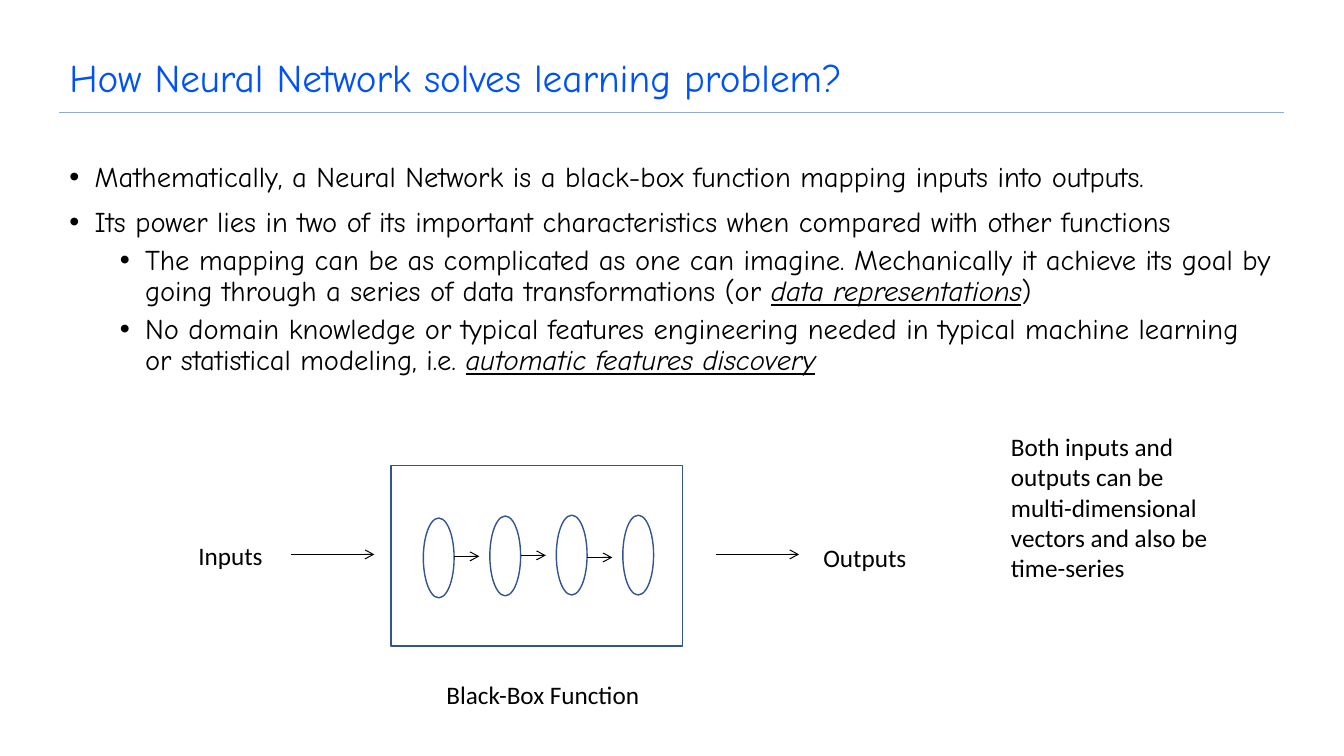
from lxml import etree
from pptx import Presentation
from pptx.dml.color import RGBColor
from pptx.enum.shapes import MSO_CONNECTOR as CONN, MSO_SHAPE as SHAPE
from pptx.enum.text import MSO_ANCHOR as ANCHOR
from pptx.oxml.ns import qn
from pptx.util import Pt

# Content: a paragraph is (level, runs), a run is (text, emphasised)
TITLE = "How Neural Network solves learning problem?"
BULLETS = [
    (0, [("Mathematically, a Neural Network is a black-box function mapping "
          "inputs into outputs.", False)]),
    (0, [("Its power lies in two of its important characteristics when "
          "compared with other functions", False)]),
    (1, [("The mapping can be as complicated as one can imagine. Mechanically "
          "it achieve its goal by going through a series of data "
          "transformations (or ", False),
         ("data representations", True), (")", False)]),
    (1, [("No domain knowledge or typical features engineering needed in "
          "typical machine learning or statistical modeling, i.e. ", False),
         ("automatic features discovery", True)]),
]
LABELS = [  # text, box in points
    ("Inputs", (134.6, 382.3, 116, 29)),
    ("Outputs", (581, 383.8, 142, 29)),
    ("Both inputs and outputs can be multi-dimensional vectors and also be "
     "time-series", (715, 304.6, 157, 117)),
    ("Black-Box Function", (311.8, 481.7, 155, 29)),
]

THEME = {
    "title": {"name": "Comic Neue", "size": Pt(28), "color": "0052F6"},
    "body": {"name": "Comic Neue", "size": Pt(20.4), "color": "000000"},
    "label": {"name": "Calibri", "size": Pt(18), "color": "000000"},
    "rule": "8FAADC", "outline": "325491", "arrow": "000000",
}

# Layout in points
LEFT, WIDTH, RULE_Y = 42.5, 874.8, 80.6
BOX = (279.4, 332.6, 208, 129)
LAYER_X, LAYER_PITCH, LAYER_W, LAYER_H = 302.4, 47.5, 22, 57
LAYER_TOPS = [370, 368.6, 368, 368]
STEP_YS, STEP_LEN = [397.4, 396.7, 398.2], 18
FLOW_XS, FLOW_Y, FLOW_LEN = [208, 511.4], 396, 59.4

prs = Presentation()
prs.slide_width, prs.slide_height = Pt(960), Pt(540)
s = prs.slides.add_slide(prs.slide_layouts[6])


def add_run(p, text, style, **extra):
    r = p.add_run()
    r.text = text
    for name, value in {**THEME[style], **extra}.items():
        if name == "color":
            r.font.color.rgb = RGBColor.from_string(value)
        else:
            setattr(r.font, name, value)


def add_text(box):
    tf = s.shapes.add_textbox(*map(Pt, box)).text_frame
    tf.word_wrap = True
    return tf


def add_bullet(p, level):
    pPr = p._p.get_or_add_pPr()
    pPr.set("marL", str(Pt(18 + 36 * level)))
    pPr.set("indent", str(-Pt(18)))
    etree.SubElement(pPr, qn("a:buFont"), typeface="Arial")
    etree.SubElement(pPr, qn("a:buChar"), char="•")


def add_outline(kind, box):
    sp = s.shapes.add_shape(kind, *map(Pt, box))
    sp.shadow.inherit = False
    sp.fill.background()
    sp.line.color.rgb = RGBColor.from_string(THEME["outline"])
    sp.line.width = Pt(1)


def add_line(x, y, length, color, width, arrow=True):
    c = s.shapes.add_connector(CONN.STRAIGHT, Pt(x), Pt(y), Pt(x + length), Pt(y))
    c.line.color.rgb = RGBColor.from_string(THEME[color])
    c.line.width = Pt(width)
    if arrow:
        etree.SubElement(c.line._get_or_add_ln(), qn("a:tailEnd"), type="arrow")
    etree.SubElement(c._element.spPr, qn("a:effectLst"))


# Title and rule
add_line(LEFT, RULE_Y, WIDTH, "rule", 0.5, arrow=False)
tf = add_text((LEFT, 25.2, 715, 50.4))
tf.vertical_anchor = ANCHOR.BOTTOM
tf.paragraphs[0].line_spacing = 0.9
add_run(tf.paragraphs[0], TITLE, "title")

# Bullets
tf = add_text((LEFT, 113, WIDTH, 179.3))
for i, (level, runs) in enumerate(BULLETS):
    p = tf.add_paragraph() if i else tf.paragraphs[0]
    p.level = level
    p.line_spacing = 0.9
    if i:
        p.space_before = Pt(5 if level else 10)
    add_bullet(p, level)
    for text, strong in runs:
        add_run(p, text, "body", italic=strong, underline=strong)

# Black box with its layers
add_outline(SHAPE.RECTANGLE, BOX)
for i, top in enumerate(LAYER_TOPS):
    add_outline(SHAPE.OVAL, (LAYER_X + i * LAYER_PITCH, top, LAYER_W, LAYER_H))

# Arrows between layers, then into and out of the box
for i, y in enumerate(STEP_YS):
    add_line(LAYER_X + i * LAYER_PITCH + LAYER_W, y, STEP_LEN, "arrow", 0.75)
for x in FLOW_XS:
    add_line(x, FLOW_Y, FLOW_LEN, "arrow", 0.75)

# Labels
for text, box in LABELS:
    add_run(add_text(box).paragraphs[0], text, "label")

prs.save("out.pptx")
